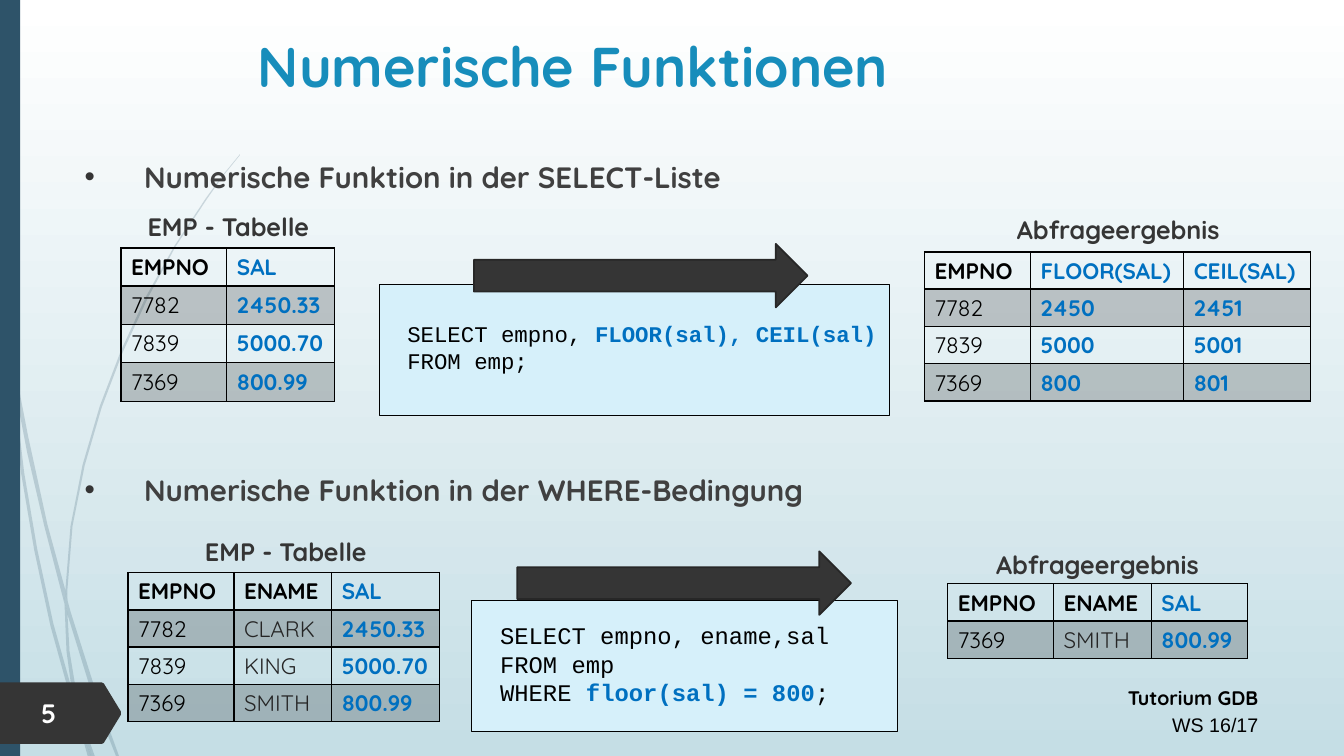
from lxml import etree
from pptx import Presentation
from pptx import util as u
from pptx.dml import color as c
from pptx.enum import shapes, text
from pptx.oxml import ns

PX = 9144
COLORS = {
    "black": "000000", "white": "FFFFFF", "mist": "C5DEE5", "navy": "2E5369",
    "title": "178DBB", "blue": "0070C0", "ice": "D6F0FA", "dark": "353535",
    "edge": "272727", "name": "262626", "body": "404040",
}
WISPS = [
    [(8, 350), (6, 322), (0, 282), (0, 299), (8, 344)],
    [(44, 522), (64, 599), (65, 586), (47, 520), (28, 433), (11, 345),
     (13, 376), (27, 449)],
    [(70, 607), (67, 596), (67, 610), (93, 694), (115, 750), (118, 750),
     (97, 692)],
    [(91, 750), (94, 750), (80, 711)],
    [(71, 683), (53, 619), (37, 545), (24, 469), (13, 376), (8, 350),
     (21, 470), (34, 546), (50, 621), (70, 693), (77, 714), (75, 707)],
    [(64, 599), (66, 646), (71, 683), (73, 692), (80, 711), (79, 706),
     (69, 646), (67, 610), (67, 608)],
    [(67, 584), (72, 522), (84, 462), (101, 404), (122, 349), (147, 295),
     (174, 245), (205, 198), (221, 175), (238, 154), (238, 153), (220, 175),
     (204, 197), (173, 244), (145, 294), (120, 348), (99, 403), (82, 461),
     (70, 522), (65, 584), (65, 586), (67, 596)],
    [(77, 714), (87, 750), (90, 750)],
    [(67, 608), (67, 610), (67, 596), (65, 586), (64, 599)],
    [(74, 692), (71, 683), (75, 707), (77, 714), (90, 750), (91, 750),
     (80, 711)],
]
NUMBER_TAG = [(120, 709), (103, 737), (101, 738), (0, 738), (0, 677),
              (101, 677), (103, 678), (120, 706)]


def px(*lengths):
    return [u.Emu(length * PX) for length in lengths]


def rgb(name):
    return c.RGBColor.from_string(COLORS[name])


def apply(target, values):
    for key, value in values.items():
        setattr(target, key, value)


def fade(properties):
    color = properties.find(ns.qn("a:solidFill")).find(ns.qn("a:srgbClr"))
    etree.SubElement(color, ns.qn("a:alpha"), val="20000")


class SlideBuilder:
    font = {"name": "Quicksand", "size": 16, "bold": True, "color": "black"}

    def __init__(self, slide):
        self.slide = slide

    def background(self, top, bottom):
        fill = self.slide.background.fill
        fill.gradient()
        fill.gradient_angle = 270
        for stop, name in zip(fill.gradient_stops, (top, bottom)):
            stop.color.rgb = rgb(name)

    def add_run(self, paragraph, content, **style):
        values = {**self.font, **style}
        run = paragraph.add_run()
        run.text = content
        run.font.color.rgb = rgb(values.pop("color"))
        values["size"] = u.Pt(values["size"])
        apply(run.font, values)

    def fill_frame(self, frame, lines, style, layout):
        frame.word_wrap = True
        for index, line in enumerate(lines):
            paragraph = frame.paragraphs[0] if index == 0 else frame.add_paragraph()
            apply(paragraph, {"alignment": text.PP_ALIGN.LEFT, **layout})
            for content, changes in line:
                self.add_run(paragraph, content, **{**style, **changes})

    def text_box(self, box, lines, style, **layout):
        frame = self.slide.shapes.add_textbox(*px(*box)).text_frame
        self.fill_frame(frame, lines, style, layout)
        return frame

    def label(self, box, content, **style):
        self.text_box(box, [[(content, {})]], {"size": 18, "color": "dark", **style},
                      alignment=text.PP_ALIGN.CENTER)

    def bullets(self, box, items, gap):
        frame = self.text_box(box, [[(item, {})] for item in items],
                              {"size": 21, "color": "body"})
        for index, paragraph in enumerate(frame.paragraphs):
            properties = paragraph._p.get_or_add_pPr()
            properties.set("marL", str(59 * PX))
            properties.set("indent", str(-59 * PX))
            color = etree.SubElement(properties, ns.qn("a:buClr"))
            etree.SubElement(color, ns.qn("a:srgbClr"), val=COLORS["dark"])
            etree.SubElement(properties, ns.qn("a:buFont"), typeface="Arial")
            etree.SubElement(properties, ns.qn("a:buChar"), char="•")
            apply(paragraph, {"line_spacing": 1.2,
                              "space_before": u.Pt(gap if index else 0)})

    def paint(self, shape, fill, line=None, width=0):
        shape.shadow.inherit = False
        shape.fill.solid()
        shape.fill.fore_color.rgb = rgb(fill)
        if line:
            shape.line.color.rgb = rgb(line)
            shape.line.width = u.Pt(width)
        else:
            shape.line.fill.background()
        return shape

    def preset(self, kind, box, *colors):
        return self.paint(self.slide.shapes.add_shape(kind, *px(*box)), *colors)

    def outline(self, points, fill, faded=False):
        builder = self.slide.shapes.build_freeform(*points[0], scale=PX)
        builder.add_line_segments(points[1:], close=True)
        shape = self.paint(builder.convert_to_shape(), fill)
        if faded:
            fade(shape._element.spPr)

    def code(self, box, size, lines):
        shape = self.preset(shapes.MSO_SHAPE.RECTANGLE, box, "ice", "black", 0.75)
        frame = shape.text_frame
        left, top, right, bottom = px(28, 0, 10, 5)
        apply(frame, {"margin_left": left, "margin_top": top, "margin_right": right,
                      "margin_bottom": bottom,
                      "vertical_anchor": text.MSO_ANCHOR.MIDDLE})
        self.fill_frame(frame, lines,
                        {"name": "Courier New", "size": size, "bold": False}, {})

    def arrow(self, left, top):
        self.preset(shapes.MSO_SHAPE.RIGHT_ARROW, (left, top, 331, 63),
                    "dark", "edge", 1.25)

    def borders(self, properties, row):
        widths = {"L": 1, "R": 1, "T": 2 if row == 1 else 1, "B": 1 if row else 2}
        for index, (side, width) in enumerate(widths.items()):
            line = etree.Element(ns.qn(f"a:ln{side}"), w=str(u.Pt(width)))
            fill = etree.SubElement(line, ns.qn("a:solidFill"))
            etree.SubElement(fill, ns.qn("a:srgbClr"), val=COLORS["black"])
            properties.insert(index, line)

    def table(self, left, top, row_height, columns, records):
        rows = [[header for header, _, _ in columns], *records]
        width = sum(column[1] for column in columns)
        box = px(left, top, width, row_height * len(rows))
        table = self.slide.shapes.add_table(len(rows), len(columns), *box).table
        apply(table, {"first_row": False, "horz_banding": False})
        for column, (_, column_width, _) in zip(table.columns, columns):
            column.width = px(column_width)[0]
        for row, values in enumerate(rows):
            table.rows[row].height = px(row_height)[0]
            for index, value in enumerate(values):
                cell = table.cell(row, index)
                role = columns[index][2]
                color = "black" if row == 0 and role == "name" else role
                self.add_run(cell.text_frame.paragraphs[0], value, color=color,
                             bold=row == 0 or role == "blue")
                properties = cell._tc.get_or_add_tcPr()
                if row % 2:
                    cell.fill.solid()
                    cell.fill.fore_color.rgb = rgb("black")
                    fade(properties)
                else:
                    cell.fill.background()
                self.borders(properties, row)


def main():
    presentation = Presentation()
    presentation.slide_width, presentation.slide_height = u.Inches(13.33), u.Inches(7.5)
    page = SlideBuilder(presentation.slides.add_slide(presentation.slide_layouts[6]))
    accent = {"color": "blue", "bold": True}
    empno = ("EMPNO", 105, "black")
    ename = ("ENAME", 97, "name")
    sal = ("SAL", 107, "blue")
    employees = [("7782", "CLARK", "2450.33"), ("7839", "KING", "5000.70"),
                 ("7369", "SMITH", "800.99")]

    page.background("white", "mist")
    for wisp in WISPS:
        page.outline(wisp, "navy", faded=True)
    page.preset(shapes.MSO_SHAPE.RECTANGLE, (0, 0, 20, 750), "navy")
    page.text_box((738, 672, 520, 64),
                  [[("Tutorium GDB", {})],
                   [("WS 16/17", {"name": "Arial", "bold": False})]],
                  {"size": 14}, alignment=text.PP_ALIGN.RIGHT, line_spacing=1.14)
    page.outline(NUMBER_TAG, "dark")
    page.text_box((31, 686, 70, 42), [[("5", {})]], {"size": 19, "color": "white"})
    page.label((120, 26, 897, 81), "Numerische Funktionen", size=40, color="title")
    page.bullets((74, 146, 1184, 500), ["Numerische Funktion in der SELECT-Liste",
                                        "Numerische Funktion in der WHERE-Bedingung"], 193)

    page.code((376, 282, 506, 130), 16, [
        [("SELECT empno, ", {}), ("FLOOR(sal), CEIL(sal)", accent)],
        [("FROM emp;", {})]])
    page.table(120, 246, 38, [empno, sal], [(key, pay) for key, _, pay in employees])
    page.label((128, 205, 197, 40), "EMP - Tabelle")
    page.arrow(470, 242)
    page.table(917, 250, 37,
               [empno, ("FLOOR(SAL)", 152, "blue"), ("CEIL(SAL)", 126, "blue")],
               [("7782", "2450", "2451"), ("7839", "5000", "5001"),
                ("7369", "800", "801")])
    page.label((975, 208, 268, 40), "Abfrageergebnis")

    page.code((468, 596, 422, 130), 17, [
        [("SELECT empno, ename,sal", {})], [("FROM emp", {})],
        [("WHERE ", {}), ("floor(sal) = 800", accent), (";", {})]])
    page.table(127, 568, 37, [empno, ename, sal], employees)
    page.label((185, 527, 197, 40), "EMP - Tabelle")
    page.table(940, 579, 37, [empno, ename, ("SAL", 95, "blue")], employees[-1:])
    page.label((965, 540, 247, 40), "Abfrageergebnis")
    page.arrow(513, 547)
    presentation.save("out.pptx")


if __name__ == "__main__":
    main()
